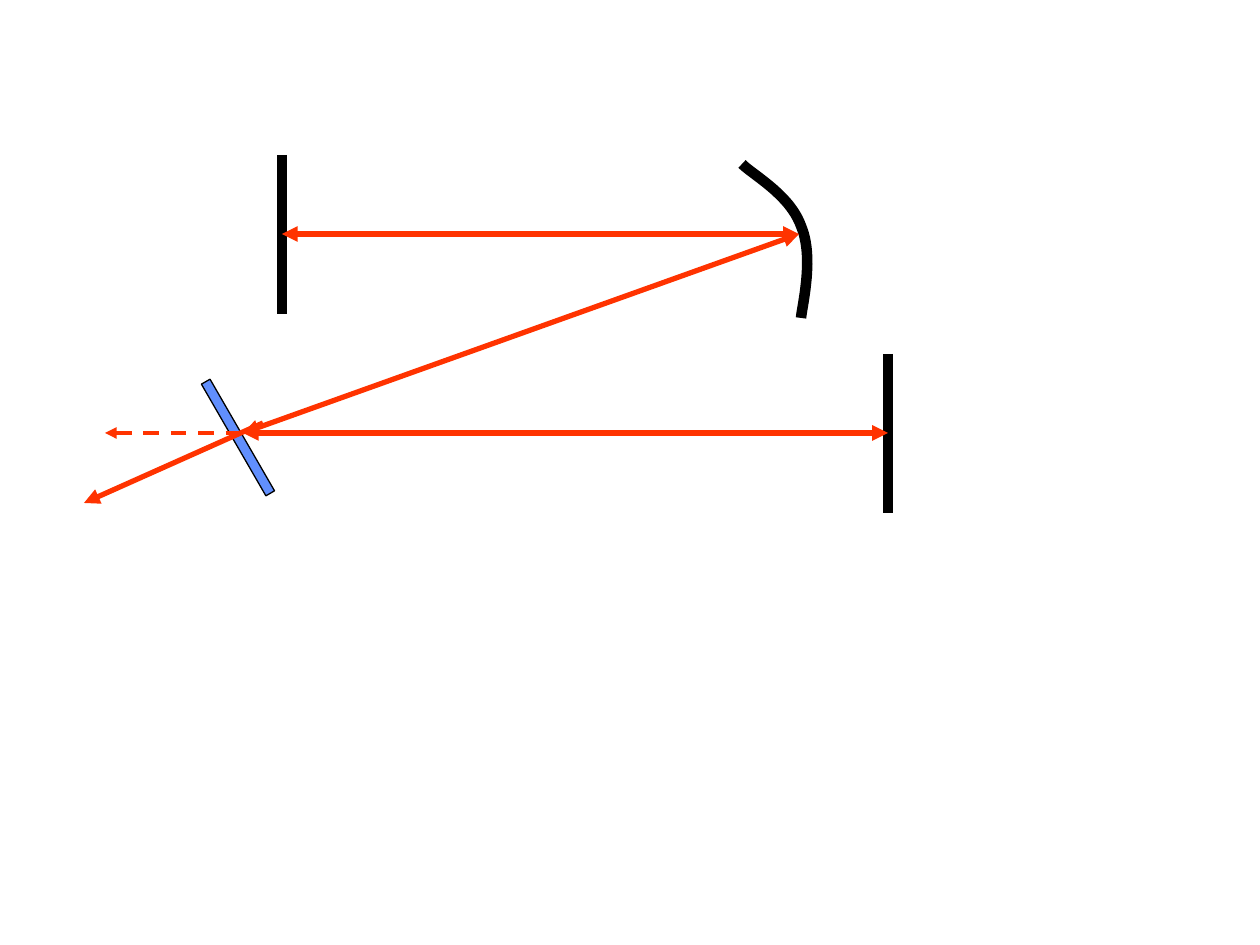
from pptx import Presentation
from pptx.dml.color import RGBColor
from pptx.enum.dml import MSO_LINE
from pptx.enum.shapes import MSO_CONNECTOR, MSO_SHAPE
from pptx.oxml.ns import qn
from pptx.util import Pt
from lxml.etree import SubElement

PX = 914400 / 126  # EMU per px
BLACK = RGBColor(0x00, 0x00, 0x00)
BEAM_RED = RGBColor(0xFF, 0x33, 0x00)
GLASS_BLUE = RGBColor(0x61, 0x8F, 0xFD)
CURVE_STEPS = 24


def px(length):
    return round(length * PX)


def add_line(slide, start, end, color, width, head=False, tail=False, dash=None):
    line = slide.shapes.add_connector(
        MSO_CONNECTOR.STRAIGHT, *(px(value) for value in start + end))
    line.line.color.rgb = color
    line.line.width = Pt(width)
    if dash:
        line.line.dash_style = dash
    properties = line._element.spPr
    for tag, wanted in (("a:headEnd", head), ("a:tailEnd", tail)):
        if wanted:
            SubElement(properties.find(qn("a:ln")), qn(tag), type="triangle")
    SubElement(properties, qn("a:effectLst"))


def bezier_points(start, control_1, control_2, end):
    """Points along a cubic curve, without its start."""
    for step in range(1, CURVE_STEPS + 1):
        t = step / CURVE_STEPS
        weights = ((1 - t) ** 3, 3 * t * (1 - t) ** 2, 3 * t ** 2 * (1 - t), t ** 3)
        corners = (start, control_1, control_2, end)
        yield tuple(px(sum(w * corner[axis] for w, corner in zip(weights, corners)))
                    for axis in (0, 1))


def add_curved_mirror(slide, knots):
    builder = slide.shapes.build_freeform(px(knots[0][0]), px(knots[0][1]))
    for first in range(0, len(knots) - 1, 3):
        builder.add_line_segments(bezier_points(*knots[first:first + 4]), close=False)
    mirror = builder.convert_to_shape()
    mirror.shadow.inherit = False
    mirror.fill.background()
    mirror.line.color.rgb = BLACK
    mirror.line.width = Pt(6)


def add_beam_splitter(slide, left, top, width, height):
    splitter = slide.shapes.add_shape(
        MSO_SHAPE.RECTANGLE, px(left), px(top), px(width), px(height))
    splitter.rotation = 330
    splitter.shadow.inherit = False
    splitter.fill.solid()
    splitter.fill.fore_color.rgb = GLASS_BLUE
    splitter.line.color.rgb = BLACK
    splitter.line.width = Pt(0.75)


def add_folded_cavity(slide, left, top):
    def at(x, y):
        return left + x, top + y

    # Mirrors and beam splitter
    mirror_height = 159
    for x, y in ((198, 0), (804, 199)):
        add_line(slide, at(x, y), at(x, y + mirror_height), BLACK, 6)
    add_curved_mirror(slide, [at(658, 9), at(669, 20), at(706, 40), at(717, 71),
                              at(730, 102), at(719, 146), at(717, 163)])
    add_beam_splitter(slide, *at(149, 218), 10, 129)

    # Beams inside the cavity
    curve_hit, splitter_hit = at(715, 79), at(159, 278)
    for start, end in ((at(198, 79), curve_hit),
                       (splitter_hit, curve_hit),
                       (splitter_hit, at(804, 278))):
        add_line(slide, start, end, BEAM_RED, 3, head=True, tail=True)

    # Beams leaving the cavity
    add_line(slide, at(21, 278), at(169, 278), BEAM_RED, 2.25,
             head=True, dash=MSO_LINE.DASH)
    add_line(slide, at(179, 268), at(0, 348), BEAM_RED, 3, tail=True)


def main():
    presentation = Presentation()
    presentation.slide_width, presentation.slide_height = px(1260), px(945)
    slide = presentation.slides.add_slide(presentation.slide_layouts[6])
    add_folded_cavity(slide, 84, 155)
    presentation.save("out.pptx")


if __name__ == "__main__":
    main()
